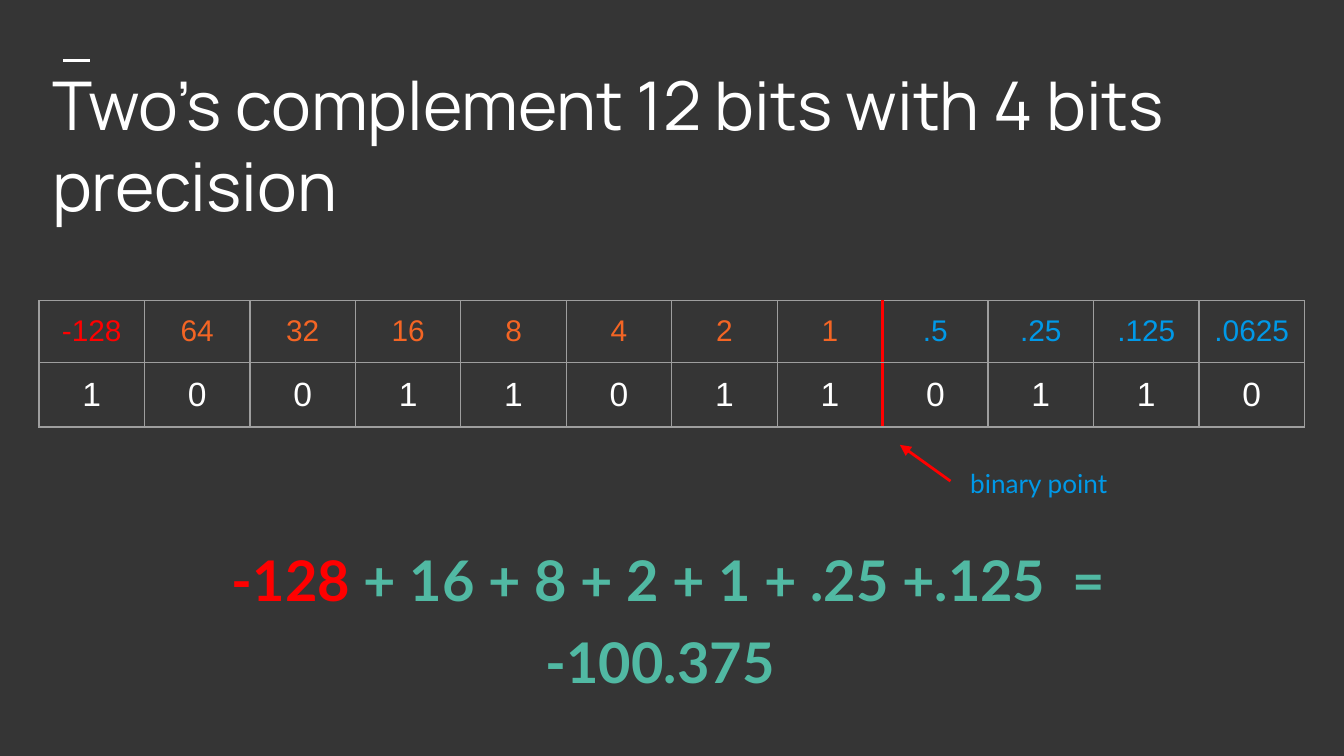
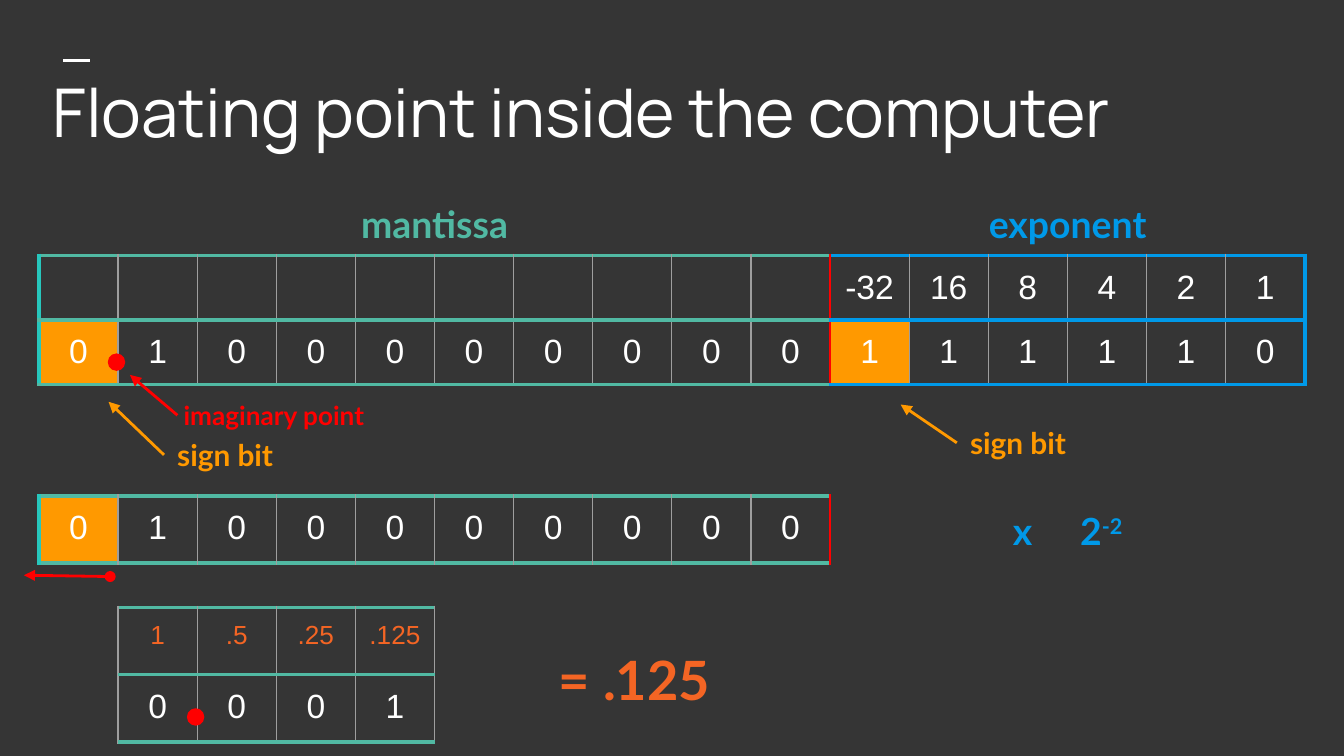
from dataclasses import dataclass

from lxml.etree import SubElement
from pptx import Presentation
from pptx.dml.color import RGBColor
from pptx.enum.shapes import MSO_CONNECTOR as Connector, MSO_SHAPE as Shape
from pptx.enum.text import MSO_ANCHOR as Anchor, MSO_AUTO_SIZE as AutoSize, PP_ALIGN as Align
from pptx.oxml.ns import qn
from pptx.util import Inches, Pt


@dataclass(frozen=True)
class Theme:
    # Colours
    background: str = "353535"
    white: str = "FFFFFF"
    red: str = "FF0000"
    orange: str = "F46524"
    amber: str = "FF9900"
    blue: str = "0099E8"
    green: str = "51B9A3"
    teal: str = "27C7BD"
    gray: str = "9E9E9E"
    # Fonts
    title_font: str = "Manrope"
    label_font: str = "Lato"
    table_font: str = "Arial"
    # Type sizes
    title: int = 36
    formula: int = 30
    formula_end: int = 38
    result: int = 29
    heading: int = 20
    bit: int = 18
    weight: int = 16
    label: int = 16
    note: int = 14
    # Line widths
    thin: float = 0.75
    medium: float = 1.5
    thick: float = 2.25


THEME = Theme()

# Pens for cell borders: colour and width
GRID = (THEME.gray, THEME.thin)
POINT = (THEME.red, THEME.medium)
MANTISSA = (THEME.green, THEME.thick)
EXPONENT = (THEME.blue, THEME.thick)
EDGE = (THEME.teal, THEME.thick)


@dataclass
class TextRun:
    text: str
    color: str
    size: int
    bold: bool = True
    superscript: bool = False


@dataclass
class BitRow:
    values: list
    colors: list
    size: int = THEME.bit


class Deck:
    """Holds the style and the current slide; lengths are grid columns and rows."""

    WIDTH, HEIGHT = 10, 5.625
    MARGIN = 0.29
    COLUMNS, ROWS = 16, 45
    PADDING = Inches(0.1)

    def __init__(self, theme):
        self.theme = theme
        self.column = (self.WIDTH - 2 * self.MARGIN) / self.COLUMNS
        self.row = self.HEIGHT / self.ROWS
        self.presentation = Presentation()
        self.presentation.slide_width = Inches(self.WIDTH)
        self.presentation.slide_height = Inches(self.HEIGHT)
        self.slide = None

    def x(self, columns):
        return Inches(self.MARGIN + columns * self.column)

    def y(self, rows):
        return Inches(rows * self.row)

    def box(self, column, row, columns, rows):
        return self.x(column), self.y(row), Inches(columns * self.column), self.y(rows)

    def new_slide(self):
        blank = self.presentation.slide_layouts[6]
        self.slide = self.presentation.slides.add_slide(blank)
        fill = self.slide.background.fill
        fill.solid()
        fill.fore_color.rgb = RGBColor.from_string(self.theme.background)
        self.line((0.31, 3.6), (0.64, 3.6), self.theme.white)

    def pad(self, holder):
        holder.margin_left = holder.margin_right = self.PADDING
        holder.margin_top = holder.margin_bottom = self.PADDING

    def add_run(self, paragraph, item, font_name):
        run = paragraph.add_run()
        run.text = item.text
        run.font.name = font_name
        run.font.size = Pt(item.size)
        run.font.bold = item.bold
        run.font.color.rgb = RGBColor.from_string(item.color)
        if item.superscript:
            run._r.get_or_add_rPr().set("baseline", "30000")

    def text(self, place, *runs, align=Align.LEFT, font=None):
        shape = self.slide.shapes.add_textbox(*self.box(*place))
        frame = shape.text_frame
        frame.word_wrap = True
        frame.auto_size = AutoSize.SHAPE_TO_FIT_TEXT
        self.pad(frame)
        paragraph = frame.paragraphs[0]
        paragraph.alignment = align
        for item in runs:
            self.add_run(paragraph, item, font or self.theme.label_font)
        return shape

    def title(self, row, words):
        item = TextRun(words, self.theme.white, self.theme.title, bold=False)
        shape = self.text((0, row, self.COLUMNS, 6.24), item, font=self.theme.title_font)
        frame = shape.text_frame
        frame.auto_size = AutoSize.NONE
        frame.vertical_anchor = Anchor.MIDDLE
        frame.paragraphs[0].space_after = Pt(10)

    def line(self, start, end, color, head=None, tail=None, source=None):
        connector = self.slide.shapes.add_connector(
            Connector.STRAIGHT, self.x(start[0]), self.y(start[1]),
            self.x(end[0]), self.y(end[1]))
        if source is not None:
            connector.begin_connect(source, 1)
        connector.line.color.rgb = RGBColor.from_string(color)
        connector.line.width = Pt(self.theme.medium)
        outline = connector.line._get_or_add_ln()
        for tag, kind in (("a:headEnd", head), ("a:tailEnd", tail)):
            if kind:
                SubElement(outline, qn(tag), type=kind)
        SubElement(connector._element.spPr, qn("a:effectLst"))

    def arrow(self, start, end, color, head=None):
        self.line(start, end, color, head=head, tail="triangle")

    def arrow_from(self, label, end, color):
        """Arrow that leaves the middle of the label's left side."""
        self.line(end, end, color, tail="triangle", source=label)

    def dot(self, column, row):
        size = Inches(0.13)
        shape = self.slide.shapes.add_shape(Shape.OVAL, self.x(column), self.y(row), size, size)
        shape.shadow.inherit = False
        shape.fill.solid()
        shape.fill.fore_color.rgb = RGBColor.from_string(self.theme.red)
        shape.line.fill.background()

    def borders(self, cell, pens):
        properties = cell._tc.get_or_add_tcPr()
        for index, (side, (color, width)) in enumerate(zip("LRTB", pens)):
            outline = SubElement(properties, qn(f"a:ln{side}"), w=str(Pt(width)))
            solid = SubElement(outline, qn("a:solidFill"))
            SubElement(solid, qn("a:srgbClr"), val=color)
            properties.insert(index, outline)

    def table(self, place, row_height, bit_rows, pens, sign_bits=()):
        """pens(column) gives the left, right, top and bottom pen of a cell."""
        column, row, columns = place
        count = len(bit_rows[0].values)
        frame = self.slide.shapes.add_table(
            len(bit_rows), count, *self.box(column, row, columns, row_height * len(bit_rows)))
        table = frame.table
        table.first_row = table.horz_banding = False
        for table_column in table.columns:
            table_column.width = Inches(columns * self.column / count)
        for row_index, bits in enumerate(bit_rows):
            table.rows[row_index].height = self.y(row_height)
            for index, (value, color) in enumerate(zip(bits.values, bits.colors)):
                cell = table.cell(row_index, index)
                self.pad(cell)
                if (row_index, index) in sign_bits:
                    cell.fill.solid()
                    cell.fill.fore_color.rgb = RGBColor.from_string(self.theme.amber)
                else:
                    cell.fill.background()
                self.borders(cell, pens(index))
                paragraph = cell.text_frame.paragraphs[0]
                paragraph.alignment = Align.CENTER
                if value:
                    item = TextRun(value, color, bits.size, bold=False)
                    self.add_run(paragraph, item, self.theme.table_font)
                else:
                    # Keeps empty cells from stretching the row
                    SubElement(paragraph._p, qn("a:endParaRPr"), sz=str(self.theme.note * 100))


def fixed_point_pens(column):
    left = POINT if column == 8 else GRID
    right = POINT if column == 7 else GRID
    return left, right, GRID, GRID


def floating_point_pens(column):
    band = EXPONENT if column >= 10 else MANTISSA
    left = {0: EDGE, 10: POINT}.get(column, GRID)
    right = {9: POINT, 15: EXPONENT}.get(column, GRID)
    return left, right, band, band


def shifted_pens(column):
    return GRID, GRID, MANTISSA, MANTISSA


def white_bits(digits):
    return BitRow(list(digits), [THEME.white] * len(digits))


def fixed_point_slide(deck):
    theme = deck.theme
    deck.new_slide()

    # Place values and bits
    weights = BitRow(
        ["-128", "64", "32", "16", "8", "4", "2", "1", ".5", ".25", ".125", ".0625"],
        [theme.red] + [theme.orange] * 7 + [theme.blue] * 4, theme.weight)
    deck.table((0, 17.9, 16), 3.68, [weights, white_bits("100110110110")], fixed_point_pens)
    deck.title(5.44, "Two’s complement 12 bits with 4 bits precision")

    # Sum of the place values
    deck.text((0.87, 31.68, 14.18, 10.8),
              TextRun("-128", theme.red, theme.formula),
              TextRun(" + 16 + 8 + 2 + 1 + .25 +.125  = -100.375", theme.green, theme.formula),
              TextRun(" ", theme.green, theme.formula_end), align=Align.CENTER)

    # Binary point
    deck.arrow((11.52, 28.64), (10.88, 26.48), theme.red)
    deck.text((11.6, 27.04, 2.19, 3.52),
              TextRun("binary point", theme.blue, theme.note, bold=False))


def floating_point_slide(deck):
    theme = deck.theme
    deck.new_slide()
    deck.title(3.44, "Floating point inside the computer")

    # Stored number
    mantissa = "0100000000"
    weights = BitRow([""] * 10 + ["-32", "16", "8", "4", "2", "1"], [theme.white] * 16)
    deck.table((0, 15.2, 16), 3.68, [weights, white_bits(mantissa + "111110")],
               floating_point_pens, sign_bits={(1, 0), (1, 10)})
    deck.dot(0.87, 21.04)
    for column, columns, name, color in ((0, 10, "mantissa", theme.green),
                                         (10, 6, "exponent", theme.blue)):
        deck.text((column, 11.2, columns, 4.32),
                  TextRun(name, color, theme.heading), align=Align.CENTER)

    # Sign bits and imaginary point
    for column, row, tip in ((1.58, 25.2, (0.88, 23.92)), (11.6, 24.48, (10.89, 24.08))):
        label = deck.text((column, row, 2.09, 3.76),
                          TextRun("sign bit", theme.amber, theme.label))
        deck.arrow_from(label, tip, theme.amber)
    deck.arrow((1.75, 24.72), (1.15, 22.32), theme.red)
    deck.text((1.66, 22.96, 2.8, 3.52), TextRun("imaginary point", theme.red, theme.note))

    # Mantissa times the power of two
    deck.text((10, 29.44, 6, 4.32),
              TextRun("x\t2", theme.blue, theme.heading),
              TextRun("-2", theme.blue, theme.heading, superscript=True), align=Align.CENTER)
    deck.arrow((0.9, 34.32), (-0.19, 34.24), theme.red, head="oval")
    deck.table((0, 29.52, 10), 3.68, [white_bits(mantissa)],
               floating_point_pens, sign_bits={(0, 0)})

    # Shifted result
    places = BitRow(["1", ".5", ".25", ".125"], [theme.orange] * 4, theme.note)
    deck.table((1, 36.16, 4), 4, [places, white_bits("0001")], shifted_pens)
    deck.dot(1.87, 42.16)
    deck.text((6.4, 37.68, 6.96, 5.52), TextRun("= .125", theme.orange, theme.result))


def main():
    deck = Deck(THEME)
    fixed_point_slide(deck)
    floating_point_slide(deck)
    deck.presentation.save("out.pptx")


if __name__ == "__main__":
    main()
